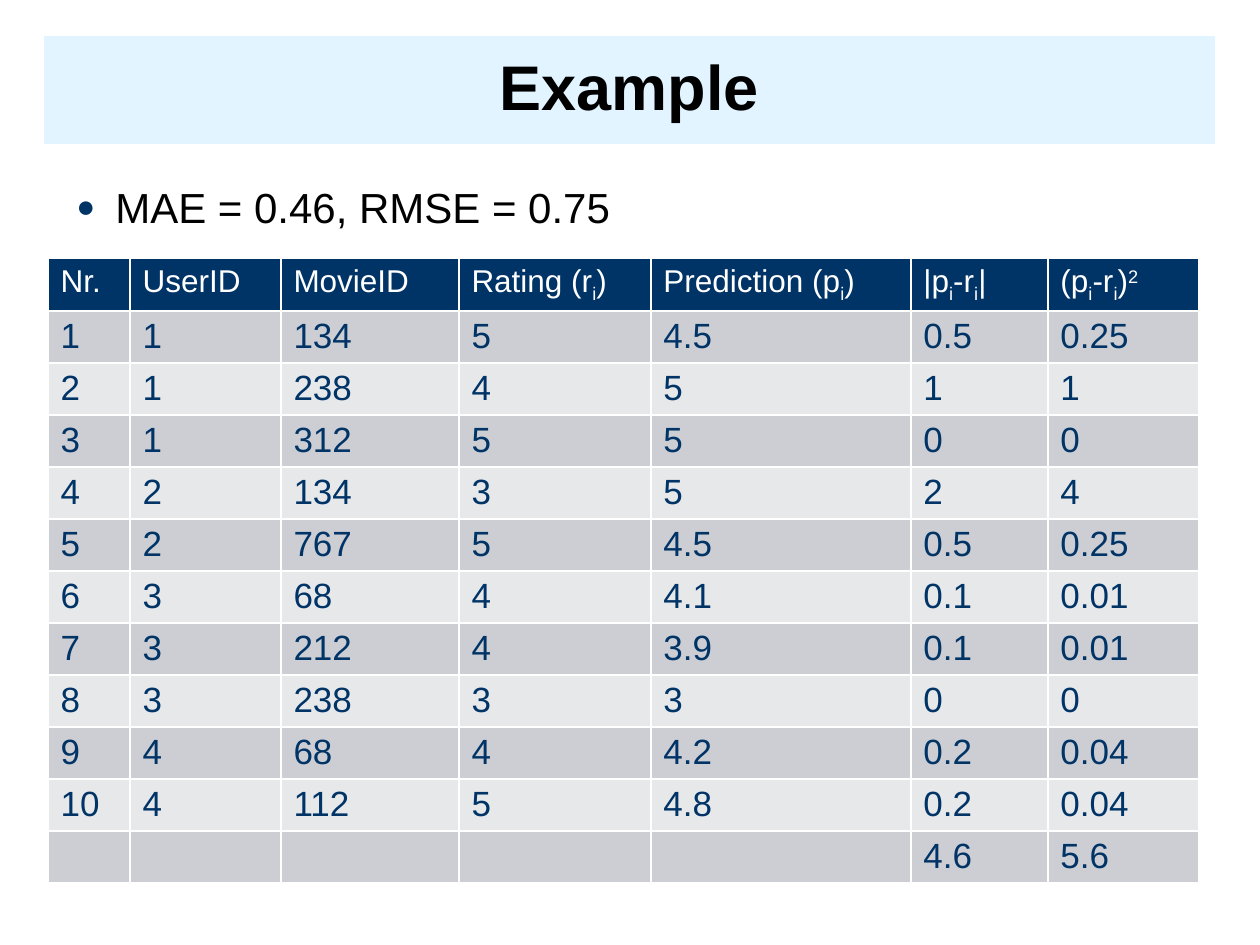
from lxml import etree
from pptx import Presentation
from pptx.dml.color import RGBColor
from pptx.enum.shapes import MSO_SHAPE
from pptx.enum.text import MSO_ANCHOR, PP_ALIGN
from pptx.oxml.ns import qn
from pptx.util import Emu, Pt

RECT = MSO_SHAPE.RECTANGLE
MIDDLE = MSO_ANCHOR.MIDDLE
CENTER = PP_ALIGN.CENTER
SCALE = 914400 // 126
NAVY, WHITE, BLACK, PALE = "003366", "FFFFFF", "000000", "E1F4FF"
BANDS = ("CCCED3", "E7E8EA")
SIDES = ("lnL", "lnR", "lnT", "lnB")
COLS = (82, 151, 178, 192, 260, 137, 151)
HEAD = ("Nr.", "UserID", "MovieID", "Rating (r_i_)", "Prediction (p_i_)",
        "|p_i_-r_i_|", "(p_i_-r_i_)_2_")
ROWS = (
    ("1", "1", "134", "5", "4.5", "0.5", "0.25"),
    ("2", "1", "238", "4", "5", "1", "1"),
    ("3", "1", "312", "5", "5", "0", "0"),
    ("4", "2", "134", "3", "5", "2", "4"),
    ("5", "2", "767", "5", "4.5", "0.5", "0.25"),
    ("6", "3", "68", "4", "4.1", "0.1", "0.01"),
    ("7", "3", "212", "4", "3.9", "0.1", "0.01"),
    ("8", "3", "238", "3", "3", "0", "0"),
    ("9", "4", "68", "4", "4.2", "0.2", "0.04"),
    ("10", "4", "112", "5", "4.8", "0.2", "0.04"),
    ("", "", "", "", "", "4.6", "5.6"),
)


def px(size):
    """Turn pixels into EMU."""
    return Emu(size * SCALE)


def paint(color, tint):
    """Set a colour from a hex string."""
    color.rgb = RGBColor.from_string(tint)


def fill(item, tint):
    """Give a shape or cell a solid fill."""
    item.fill.solid()
    paint(item.fill.fore_color, tint)


def add_tag(parent, name, **attrs):
    """Append a drawing element with its attributes."""
    tag = etree.SubElement(parent, qn(f"a:{name}"))
    for key, value in attrs.items():
        tag.set(key, str(value))
    return tag


def write(para, text, size, tint, bold=False):
    """Write text, with script parts between underscores."""
    for pos, part in enumerate(text.split("_")):
        if not part:
            continue
        run = para.add_run()
        run.text = part
        form = {"name": "Arial", "size": Pt(size), "bold": bold}
        for key, value in form.items():
            setattr(run.font, key, value)
        paint(run.font.color, tint)
        if pos % 2:
            base = 30000 if part.isdigit() else -25000
            run.font._element.set("baseline", str(base))


def add_title(slide, text, box):
    """Add the heading on its pale band."""
    band = slide.shapes.add_shape(RECT, *map(px, box))
    band.shadow.inherit = False
    fill(band, PALE)
    band.line.fill.background()
    band.text_frame.vertical_anchor = MIDDLE
    para = band.text_frame.paragraphs[0]
    para.alignment = CENTER
    para.line_spacing = 0.9
    write(para, text, 36, BLACK, True)


def add_bullet(slide, text, box):
    """Add one bulleted line."""
    frame = slide.shapes.add_textbox(*map(px, box)).text_frame
    frame.word_wrap = True
    para = frame.paragraphs[0]
    props = para._p.get_or_add_pPr()
    props.set("marL", str(px(39)))
    props.set("indent", str(-px(39)))
    add_tag(add_tag(props, "spcBef"), "spcPct", val=20000)
    add_tag(add_tag(props, "buClr"), "srgbClr", val=NAVY)
    add_tag(props, "buSzPct", val=75000)
    add_tag(props, "buFont", typeface="Arial")
    add_tag(props, "buChar", char="●")
    write(para, text, 24, BLACK)


def edge(cell):
    """Draw thin white borders round a cell."""
    props = cell._tc.get_or_add_tcPr()
    for side in SIDES:
        line = add_tag(props, side, w=Pt(1))
        add_tag(add_tag(line, "solidFill"), "srgbClr", val=WHITE)


def set_cell(cell, text, size, tint, back):
    """Fill, border and write one cell."""
    edge(cell)
    fill(cell, back)
    cell.margin_top, cell.margin_bottom = px(6), px(4)
    write(cell.text_frame.paragraphs[0], text, size, tint)


def add_grid(slide, left, top, high):
    """Add the ratings table with banded rows."""
    count = len(ROWS) + 1
    box = map(px, (left, top, sum(COLS), high * count))
    grid = slide.shapes.add_table(count, len(COLS), *box).table
    for col, width in zip(grid.columns, COLS):
        col.width = px(width)
    for cell, text in zip(grid.rows[0].cells, HEAD):
        set_cell(cell, text, 18, WHITE, NAVY)
    for num, row in enumerate(ROWS):
        for cell, text in zip(grid.rows[num + 1].cells, row):
            set_cell(cell, text, 20, NAVY, BANDS[num % 2])


def main():
    """Build and save the slide."""
    deck = Presentation()
    deck.slide_width, deck.slide_height = px(1260), px(945)
    slide = deck.slides.add_slide(deck.slide_layouts[6])
    add_title(slide, "Example", (44, 36, 1171, 108))
    add_bullet(slide, "MAE = 0.46, RMSE = 0.75", (64, 175, 833, 69))
    add_grid(slide, 48, 258, 52)
    deck.save("out.pptx")


if __name__ == "__main__":
    main()
